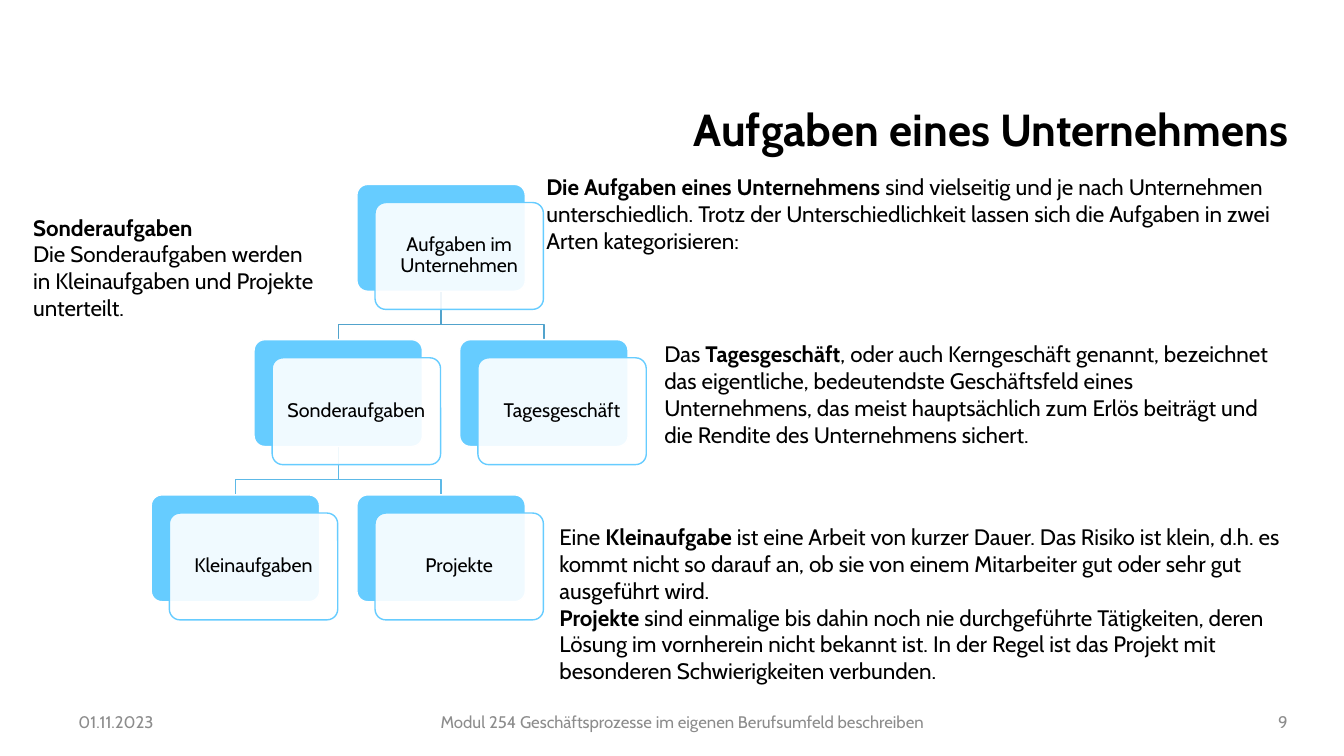
"""Build the slide on the tasks of a company, with a task tree and notes."""
from lxml import etree
from pptx import Presentation
from pptx import util as u
from pptx.dml.color import RGBColor
from pptx.enum import shapes, text
from pptx.oxml.ns import qn

HUES = {"ink": "000000", "grey": "8C8C8C", "white": "FFFFFF", "sky": "66CCFF",
        "link1": "52A3CC", "link2": "5DB9E7"}
LEFT, MID, RIGHT = text.PP_ALIGN.LEFT, text.PP_ALIGN.CENTER, text.PP_ALIGN.RIGHT
WIDE, HIGH, SHIFT = 1.67, 1.06, 0.18


class Deck:
    """Hold the style and the current slide."""

    def __init__(self):
        self.font = "Cabin"
        self.prs = Presentation()
        self.prs.slide_width, self.prs.slide_height = u.Inches(13.33), u.Inches(7.5)
        self.slide = self.prs.slides.add_slide(self.prs.slide_layouts[6])

    def hue(self, name):
        """Return a named colour."""
        return RGBColor.from_string(HUES[name])

    def fill_text(self, frame, paras, size, hue="ink", align=LEFT, mid=False, space=1.0):
        """Fill a text frame; parts between stars are bold."""
        frame.word_wrap = True
        frame.vertical_anchor = text.MSO_ANCHOR.MIDDLE if mid else text.MSO_ANCHOR.TOP
        for i, line in enumerate(paras):
            para = frame.paragraphs[0] if i == 0 else frame.add_paragraph()
            para.alignment, para.line_spacing = align, space
            for j, part in enumerate(line.split("*")):
                if part:
                    run = para.add_run()
                    run.text = part
                    run.font.name, run.font.size = self.font, u.Pt(size)
                    run.font.bold = j % 2 == 1
                    run.font.color.rgb = self.hue(hue)

    def label(self, at, paras, size, **style):
        """Add a text box."""
        box = self.slide.shapes.add_textbox(*map(u.Inches, at))
        self.fill_text(box.text_frame, paras, size, **style)

    def card(self, x, y, fill, line):
        """Add a rounded card."""
        card = self.slide.shapes.add_shape(
            shapes.MSO_SHAPE.ROUNDED_RECTANGLE, *map(u.Inches, (x, y, WIDE, HIGH)))
        card.adjustments[0] = 0.1
        card.shadow.inherit = False
        card.fill.solid()
        card.fill.fore_color.rgb = self.hue(fill)
        card.line.color.rgb = self.hue(line)
        card.line.width = u.Pt(1)
        return card

    def node(self, x, y, name):
        """Add a solid card with a clear, captioned card in front."""
        self.card(x, y, "sky", "white")
        front = self.card(x + SHIFT, y + SHIFT, "white", "sky")
        tint = front.element.spPr.find(qn("a:solidFill"))[0]
        etree.SubElement(tint, qn("a:alpha")).set("val", "90000")
        frame = front.text_frame
        frame.margin_left = frame.margin_right = u.Inches(0.06)
        frame.margin_top = frame.margin_bottom = u.Inches(0.06)
        self.fill_text(frame, [name], 14, align=MID, mid=True, space=0.9)

    def link(self, top, low, hue):
        """Add a bent line from a card down to a lower one."""
        x, y = top[0] + WIDE / 2, top[1] + HIGH
        end, bend = low[0] + WIDE / 2, y + 0.33
        pen = self.slide.shapes.build_freeform(u.Inches(x), u.Inches(y))
        turns = [(x, bend), (end, bend), (end, low[1])]
        pen.add_line_segments([(u.Inches(a), u.Inches(b)) for a, b in turns], close=False)
        bent = pen.convert_to_shape()
        bent.shadow.inherit = False
        bent.fill.background()
        bent.line.color.rgb = self.hue(hue)
        bent.line.width = u.Pt(1)


def main():
    """Build and save the slide."""
    deck = Deck()
    deck.label((0.68, 1.02, 12.2, 1.1), ["*Aufgaben eines Unternehmens*"], 32,
               align=RIGHT, space=0.9)

    foot = [(0.68, 1.57, "01.11.2023", LEFT),
            (2.44, 8.66, "Modul 254 Geschäftsprozesse im eigenen Berufsumfeld beschreiben", MID),
            (11.3, 1.57, "9", RIGHT)]
    for x, wide, words, align in foot:
        deck.label((x, 6.97, wide, 0.39), [words], 12, hue="grey", align=align, mid=True)

    grid = {"Aufgaben im Unternehmen": (2, 0), "Sonderaufgaben": (1, 1),
            "Kleinaufgaben": (0, 2), "Projekte": (2, 2), "Tagesgeschäft": (3, 1)}
    spots = {name: (1.5 + 1.02 * col, 1.83 + 1.54 * row)
             for name, (col, row) in grid.items()}
    tree = [("Aufgaben im Unternehmen", "link1", ("Tagesgeschäft", "Sonderaufgaben")),
            ("Sonderaufgaben", "link2", ("Projekte", "Kleinaufgaben"))]
    for top, hue, lows in tree:
        for low in lows:
            deck.link(spots[top], spots[low], hue)
    for name, (x, y) in spots.items():
        deck.node(x, y, name)

    notes = [
        ((5.32, 1.67, 7.55, 0.91), [
            "*Die Aufgaben eines Unternehmens *sind vielseitig und je nach Unternehmen "
            "unterschiedlich. Trotz der Unterschiedlichkeit lassen sich die Aufgaben in "
            "zwei Arten kategorisieren:"]),
        ((6.49, 3.33, 6.24, 1.18), [
            "Das *Tagesgeschäft*, oder auch Kerngeschäft genannt, bezeichnet das "
            "eigentliche, bedeutendste Geschäftsfeld eines Unternehmens, das meist "
            "hauptsächlich zum Erlös beiträgt und die Rendite des Unternehmens sichert."]),
        ((0.23, 2.07, 2.98, 1.18), [
            "*Sonderaufgaben*",
            "Die Sonderaufgaben werden in Kleinaufgaben und Projekte unterteilt."]),
        ((5.45, 5.14, 7.36, 2.02), [
            "Eine *Kleinaufgabe* ist eine Arbeit von kurzer Dauer. Das Risiko ist klein, "
            "d.h. es kommt nicht so darauf an, ob sie von einem Mitarbeiter gut oder sehr "
            "gut ausgeführt wird.",
            "*Projekte* sind einmalige bis dahin noch nie durchgeführte Tätigkeiten, deren "
            "Lösung im vornherein nicht bekannt ist. In der Regel ist das Projekt mit "
            "besonderen Schwierigkeiten verbunden."])]
    for at, paras in notes:
        deck.label(at, paras, 16)

    deck.prs.save("out.pptx")


if __name__ == "__main__":
    main()
